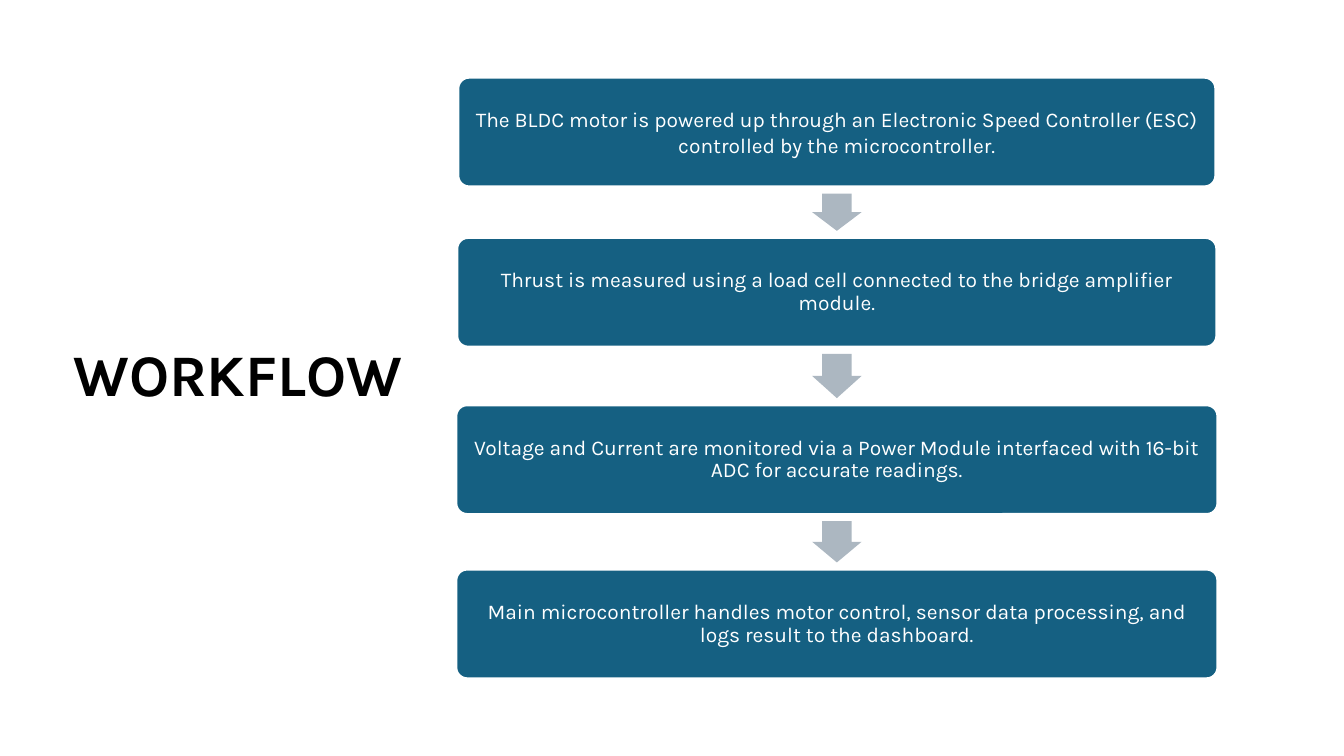
from itertools import pairwise

from pptx import Presentation
from pptx.dml.color import RGBColor
from pptx.enum.shapes import MSO_SHAPE as Kind
from pptx.enum.text import MSO_ANCHOR as Anchor, PP_ALIGN as Align
from pptx.util import Pt

PX = 9144
MID = 830
HIGH = 108
GAP = 7
INSET = 6
STEPS = [
    (77, 751, 1.0, "The BLDC motor is powered up through an Electronic Speed "
     "Controller (ESC) controlled by the microcontroller."),
    (236, 753, 0.9, "Thrust is measured using a load cell connected to the "
     "bridge amplifier module."),
    (402, 755, 0.9, "Voltage and Current are monitored via a Power Module "
     "interfaced with 16-bit ADC for accurate readings."),
    (565, 755, 0.9, "Main microcontroller handles motor control, sensor data "
     "processing, and logs result to the dashboard."),
]


def px(*sizes):
    """Turn px lengths into EMU."""
    return [round(size * PX) for size in sizes]


def tint(color):
    """Turn a hex string into a colour."""
    return RGBColor.from_string(color)


def write(frame, text, size, color, align, space, bold=False):
    """Put one run of text, centred upright, into a frame."""
    frame.word_wrap = True
    frame.vertical_anchor = Anchor.MIDDLE
    para = frame.paragraphs[0]
    para.alignment = align
    para.line_spacing = space
    run = para.add_run()
    run.text = text
    font = run.font
    font.name, font.size, font.bold = "Karla", Pt(size), bold
    font.color.rgb = tint(color)


def block(slide, kind, top, width, height, color):
    """Add a filled shape centred on the flow's axis."""
    box = px(MID - width / 2, top, width, height)
    shape = slide.shapes.add_shape(kind, *box)
    shape.shadow.inherit = False
    shape.fill.solid()
    shape.fill.fore_color.rgb = tint(color)
    return shape


def card(slide, top, width, space, text):
    """Add one step of the flow."""
    shape = block(slide, Kind.ROUNDED_RECTANGLE, top, width, HIGH, "156082")
    shape.adjustments[0] = 0.1
    shape.line.color.rgb = tint("FFFFFF")
    shape.line.width = Pt(1.5)
    frame = shape.text_frame
    frame.margin_left, frame.margin_right = px(INSET, INSET)
    frame.margin_top, frame.margin_bottom = px(INSET, INSET)
    write(frame, text, 15, "FFFFFF", Align.CENTER, space)


def arrow(slide, top, end):
    """Add a down arrow between two heights."""
    shape = block(slide, Kind.DOWN_ARROW, top, 49, end - top, "ACB7C1")
    shape.adjustments[0] = 0.6
    shape.adjustments[1] = 0.5
    shape.line.fill.background()


def title(slide, text):
    """Add the slide title."""
    box = slide.shapes.add_textbox(*px(63, 331, 363, 87))
    write(box.text_frame, text, 42, "000000", Align.LEFT, 0.9, True)


def main():
    """Build and save the slide."""
    deck = Presentation()
    deck.slide_width, deck.slide_height = px(1333, 750)
    slide = deck.slides.add_slide(deck.slide_layouts[6])
    for step in STEPS:
        card(slide, *step)
    for above, below in pairwise(STEPS):
        arrow(slide, above[0] + HIGH + GAP, below[0] - GAP)
    title(slide, "WORKFLOW")
    deck.save("out.pptx")


if __name__ == "__main__":
    main()
